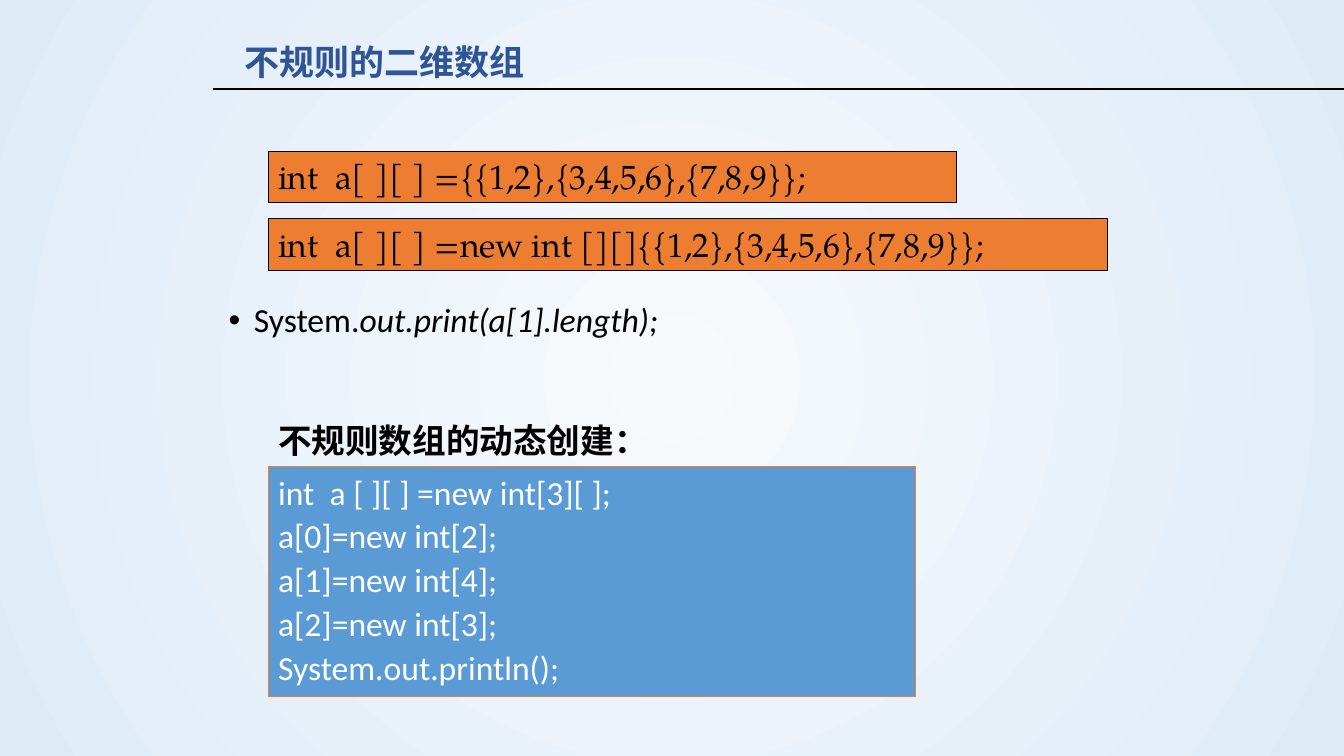
import pptx
import pptx.util
import pptx.dml.color
import pptx.enum.shapes
import pptx.enum.text
import pptx.oxml
import pptx.oxml.ns
import lxml.etree

Inches = pptx.util.Inches
Pt = pptx.util.Pt
qn = pptx.oxml.ns.qn
COLORS = {
    "title": "2F5597", "black": "000000", "white": "FFFFFF",
    "orange": "ED7D31", "blue": "5B9BD5",
    "center": "F7FAFD", "edge": "DEEBF7",
}
CHINESE = "Noto Sans CJK SC"


def rgb(name):
    return pptx.dml.color.RGBColor.from_string(COLORS[name])


def add_text(box, lines, font="Calibri", size=24, color="black", bold=False,
             anchor="TOP", space=0, wrap=True):
    frame = box.text_frame
    frame.word_wrap = wrap
    frame.vertical_anchor = pptx.enum.text.MSO_ANCHOR[anchor]
    for number, runs in enumerate(lines):
        paragraph = frame.paragraphs[0] if number == 0 else frame.add_paragraph()
        paragraph.alignment = pptx.enum.text.PP_ALIGN.LEFT
        paragraph.space_before = Pt(space if number else 0)
        for text, italic in runs:
            run = paragraph.add_run()
            run.text = text
            run.font.name = font
            run.font.size = Pt(size)
            run.font.bold = bold
            run.font.italic = italic
            run.font.color.rgb = rgb(color)
            east_asian = lxml.etree.SubElement(run.font._element, qn("a:ea"))
            east_asian.set("typeface", CHINESE)
    return frame


deck = pptx.Presentation()
deck.slide_width = Inches(13.33)
deck.slide_height = Inches(7.5)
slide = deck.slides.add_slide(deck.slide_layouts[6])
shapes = slide.shapes

backdrop = slide.background.fill
backdrop.gradient()
for stop, name, position in zip(backdrop.gradient_stops, ("center", "edge"), (0, 1)):
    stop.color.rgb = rgb(name)
    stop.position = position
gradient = slide.background._cSld.find(".//" + qn("a:gradFill"))
gradient.replace(gradient.find(qn("a:lin")), pptx.oxml.parse_xml(
    '<a:path xmlns:a="http://schemas.openxmlformats.org/drawingml/2006/main" path="circle">'
    '<a:fillToRect l="50000" t="50000" r="50000" b="50000"/></a:path>'))

title_rule = shapes.add_connector(pptx.enum.shapes.MSO_CONNECTOR.STRAIGHT,
                                  Inches(2.11), Inches(0.88), Inches(13.33), Inches(0.88))
title_rule.line.color.rgb = rgb("black")
title_rule.line.width = Pt(1.25)
lxml.etree.SubElement(title_rule._element.spPr, qn("a:effectLst"))

title = shapes.add_textbox(Inches(2.33), Inches(0.32), Inches(10.08), Inches(0.63))
add_text(title, [[("不规则的二维数组", False)]], font=CHINESE, size=25, color="title",
         bold=True, anchor="MIDDLE").paragraphs[0].line_spacing = 0.9

length_call = shapes.add_textbox(Inches(2.17), Inches(2.92), Inches(9), Inches(0.51))
bullet = add_text(length_call, [[("System.", False), ("out.print(a[1].length);", True)]]).paragraphs[0]
bullet_format = bullet._p.get_or_add_pPr()
bullet_format.set("marL", str(Inches(0.25)))
bullet_format.set("indent", str(-Inches(0.25)))
lxml.etree.SubElement(bullet_format, qn("a:buFont")).set("typeface", "Arial")
lxml.etree.SubElement(bullet_format, qn("a:buChar")).set("char", "•")

literal = ["int  a[ ][ ] ={{1,2},{3,4,5,6},{7,8,9}};"]
new_literal = ["int  a[ ][ ] =new int [][]{{1,2},{3,4,5,6},{7,8,9}};"]
dynamic = ["int  a [ ][ ] =new int[3][ ];", "a[0]=new int[2];", "a[1]=new int[4];",
           "a[2]=new int[3];", "System.out.println();"]
for top, width, height, fill, outline, weight, font, color, code in (
    (1.5, 6.83, 0.51, "orange", "black", 0.75, "TeX Gyre Pagella", "black", literal),
    (2.17, 8.33, 0.51, "orange", "black", 0.75, "TeX Gyre Pagella", "black", new_literal),
    (4.63, 6.42, 2.28, "blue", "orange", 0.5, "Calibri", "white", dynamic),
):
    panel = shapes.add_shape(pptx.enum.shapes.MSO_SHAPE.RECTANGLE,
                             Inches(2.66), Inches(top), Inches(width), Inches(height))
    panel.shadow.inherit = False
    panel.fill.solid()
    panel.fill.fore_color.rgb = rgb(fill)
    panel.line.color.rgb = rgb(outline)
    panel.line.width = Pt(weight)
    add_text(panel, [[(line, False)] for line in code], font=font, color=color, space=2.4)

dynamic_heading = shapes.add_textbox(Inches(2.66), Inches(4.12), Inches(3.9), Inches(0.5))
add_text(dynamic_heading, [[("不规则数组的动态创建：", False)]], bold=True, wrap=False)

deck.save("out.pptx")
